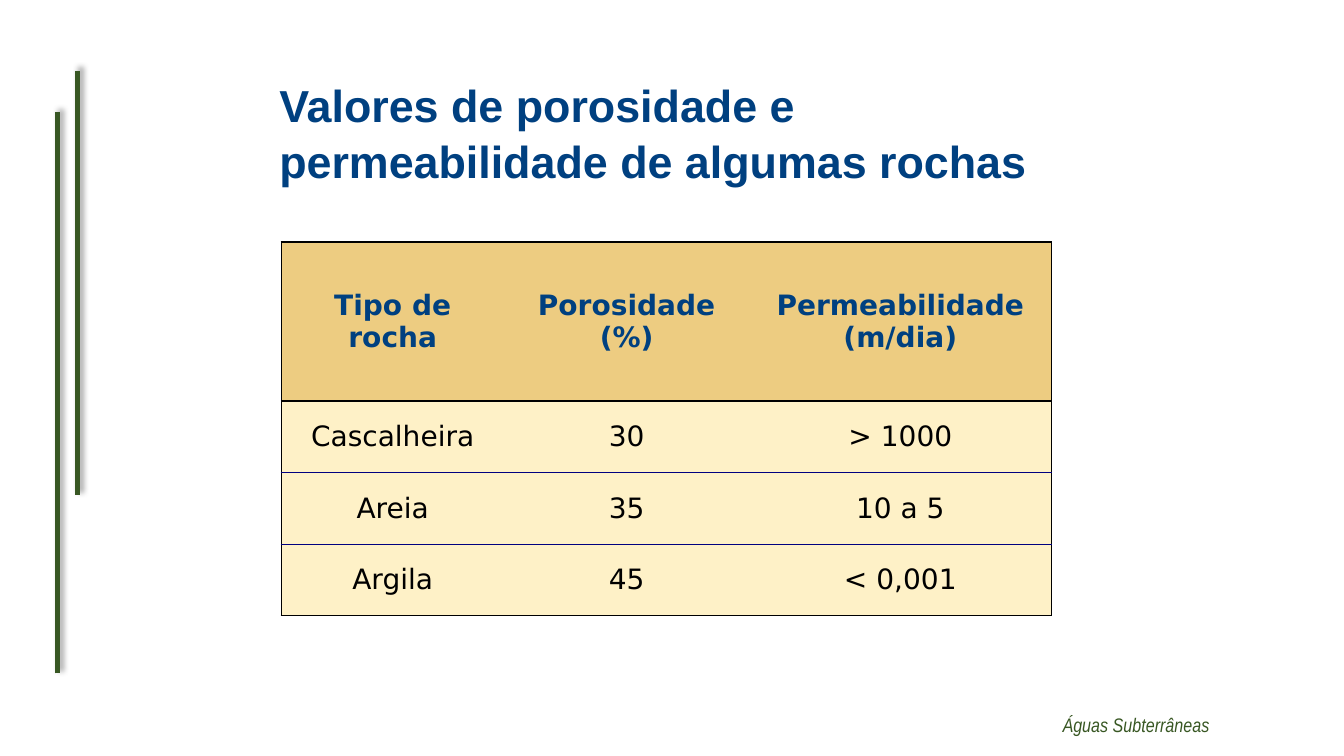
from dataclasses import dataclass

from lxml.etree import SubElement
from pptx import Presentation
from pptx.dml.color import RGBColor
from pptx.enum.shapes import MSO_CONNECTOR
from pptx.enum.text import MSO_ANCHOR, MSO_AUTO_SIZE, PP_ALIGN
from pptx.oxml.ns import qn
from pptx.util import Emu, Pt

# Content
TITLE = "Valores de porosidade e permeabilidade de algumas rochas"
FOOTER = "Águas Subterrâneas"
ROCK_TABLE = [
    ("Tipo de rocha", "Porosidade (%)", "Permeabilidade (m/dia)"),
    ("Cascalheira", "30", "> 1000"),
    ("Areia", "35", "10 a 5"),
    ("Argila", "45", "< 0,001"),
]

# Layout in px, 100 px to the inch
SLIDE_SIZE = (1333, 750)
TITLE_BOX = (267, 70, 818, 120)
FOOTER_BOX = (1044, 702, 201, 34)
TABLE_ORIGIN = (279, 240)
COLUMN_WIDTHS = (221, 243, 300)
ROW_HEIGHTS = (158, 71, 71, 71)
SIDE_BARS = [(57, 668, 111), (77, 491, 70)]  # x, bottom, top


@dataclass(frozen=True)
class Theme:
    blue: str = "004080"
    green: str = "385723"
    black: str = "000000"
    navy: str = "000080"
    header_fill: str = "EDCC81"
    body_fill: str = "FEF1C7"
    title_font: str = "Arial"
    table_font: str = "DejaVu Sans"
    footer_font: str = "Arial Narrow"
    title_size: int = 32
    table_size: int = 20
    footer_size: int = 14


THEME = Theme()


def px(length):
    return Emu(length * 9144)


def write_text(frame, text, *, font, size, color, bold=False, italic=False,
               align=PP_ALIGN.LEFT, spacing=1.0):
    paragraph = frame.paragraphs[0]
    paragraph.alignment = align
    paragraph.line_spacing = spacing
    run = paragraph.add_run()
    run.text = text
    run.font.name = font
    run.font.size = Pt(size)
    run.font.bold = bold
    run.font.italic = italic
    run.font.color.rgb = RGBColor.from_string(color)


def set_borders(cell, borders):
    """Draw each side as (color, points); None hides the side."""
    properties = cell._tc.get_or_add_tcPr()
    for index, (side, border) in enumerate(borders.items()):
        line = properties.makeelement(qn(f"a:ln{side}"), {})
        properties.insert(index, line)
        if border is None:
            SubElement(line, qn("a:noFill"))
            continue
        color, points = border
        line.set("w", str(Pt(points)))
        fill = SubElement(line, qn("a:solidFill"))
        SubElement(fill, qn("a:srgbClr"), val=color)


def add_side_bar(shapes, x, bottom, top):
    bar = shapes.add_connector(MSO_CONNECTOR.STRAIGHT, px(x), px(bottom), px(x), px(top))
    bar.line.color.rgb = RGBColor.from_string(THEME.green)
    bar.line.width = Pt(3)
    effects = SubElement(bar._element.spPr, qn("a:effectLst"))
    shadow = SubElement(effects, qn("a:outerShdw"), blurRad=str(Pt(4)),
                        dist=str(Pt(3)), dir=str(315 * 60000), rotWithShape="0")
    shadow_color = SubElement(shadow, qn("a:srgbClr"), val=THEME.black)
    SubElement(shadow_color, qn("a:alpha"), val="40000")


def add_rock_table(slide):
    table = slide.shapes.add_table(
        len(ROCK_TABLE), len(COLUMN_WIDTHS), *map(px, TABLE_ORIGIN),
        px(sum(COLUMN_WIDTHS)), px(sum(ROW_HEIGHTS))).table
    table.horz_banding = False
    for column, width in zip(table.columns, COLUMN_WIDTHS):
        column.width = px(width)
    for row, height in zip(table.rows, ROW_HEIGHTS):
        row.height = px(height)

    # Horizontal rules from top to bottom, and the outer frame
    outline = (THEME.black, 1)
    inner_rules = [(THEME.navy, 1)] * (len(ROCK_TABLE) - 2)
    rules = [outline, (THEME.black, 2), *inner_rules, outline]
    last_column = len(COLUMN_WIDTHS) - 1

    for row_index, values in enumerate(ROCK_TABLE):
        header = row_index == 0
        for column_index, value in enumerate(values):
            cell = table.cell(row_index, column_index)
            cell.vertical_anchor = MSO_ANCHOR.MIDDLE
            cell.fill.solid()
            cell.fill.fore_color.rgb = RGBColor.from_string(
                THEME.header_fill if header else THEME.body_fill)
            write_text(cell.text_frame, value, font=THEME.table_font,
                       size=THEME.table_size, bold=header, align=PP_ALIGN.CENTER,
                       color=THEME.blue if header else THEME.black)
            set_borders(cell, {
                "L": outline if column_index == 0 else None,
                "R": outline if column_index == last_column else None,
                "T": rules[row_index],
                "B": rules[row_index + 1],
            })


def main():
    presentation = Presentation()
    presentation.slide_width, presentation.slide_height = map(px, SLIDE_SIZE)
    slide = presentation.slides.add_slide(presentation.slide_layouts[5])

    # Side bars
    bars = slide.shapes.add_group_shape()
    for bar in SIDE_BARS:
        add_side_bar(bars.shapes, *bar)

    # Footer
    footer = slide.shapes.add_textbox(*map(px, FOOTER_BOX))
    footer.text_frame.word_wrap = False
    write_text(footer.text_frame, FOOTER, font=THEME.footer_font,
               size=THEME.footer_size, color=THEME.green, italic=True)

    # Title
    title = slide.shapes.title
    title.left, title.top, title.width, title.height = map(px, TITLE_BOX)
    frame = title.text_frame
    frame.word_wrap = True
    frame.auto_size = MSO_AUTO_SIZE.NONE
    frame.vertical_anchor = MSO_ANCHOR.MIDDLE
    frame.margin_left = frame.margin_right = px(10)
    frame.margin_top = frame.margin_bottom = px(6)
    write_text(frame, TITLE, font=THEME.title_font, size=THEME.title_size,
               color=THEME.blue, bold=True, spacing=1.05)

    # Table
    add_rock_table(slide)
    presentation.save("out.pptx")


if __name__ == "__main__":
    main()
